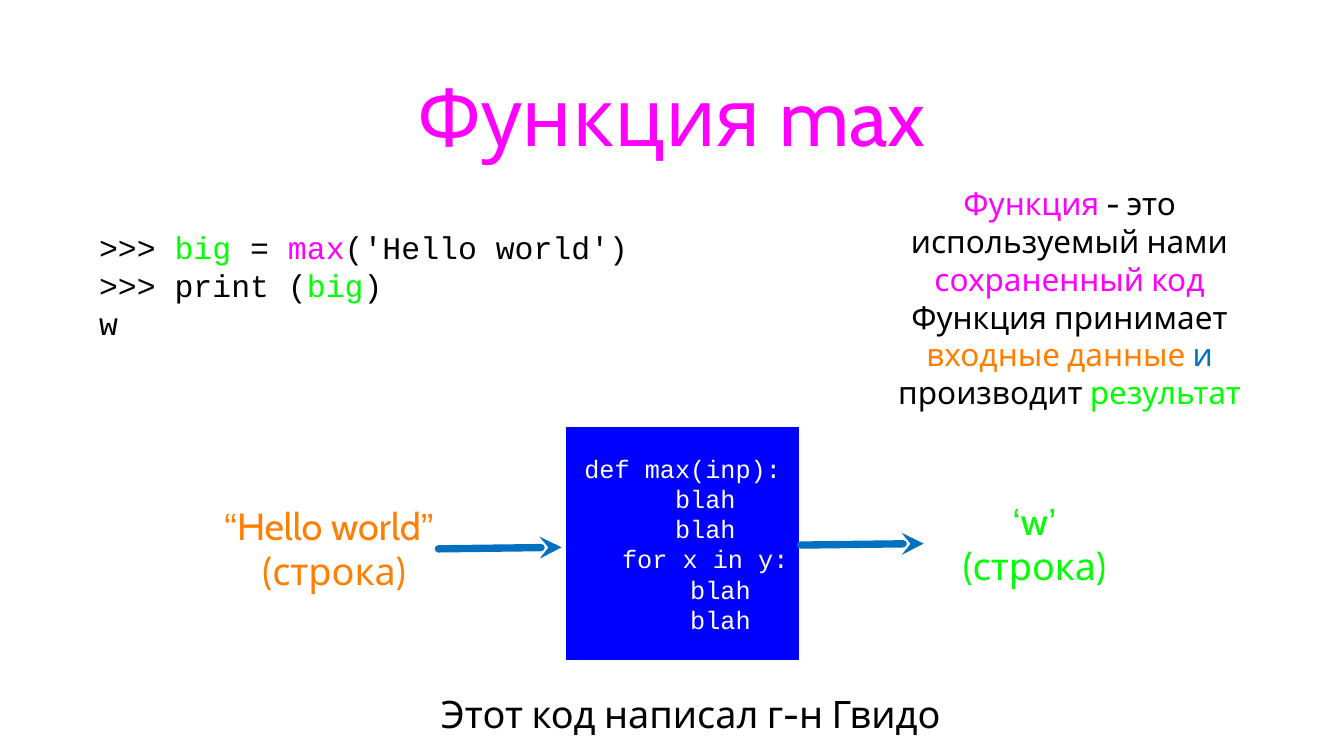
from lxml import etree
from pptx import Presentation
from pptx.dml.color import RGBColor
from pptx.enum.shapes import MSO_CONNECTOR, MSO_SHAPE
from pptx.enum.text import MSO_ANCHOR, MSO_AUTO_SIZE, PP_ALIGN
from pptx.oxml.ns import qn
from pptx.util import Inches, Pt

LINE = MSO_CONNECTOR.STRAIGHT
RECT = MSO_SHAPE.RECTANGLE
MIDDLE = MSO_ANCHOR.MIDDLE
FIXED = MSO_AUTO_SIZE.NONE
LEFT, CENTER = PP_ALIGN.LEFT, PP_ALIGN.CENTER
WIDE, HIGH = Inches(17.78), Inches(10)
SANS, ARIAL, MONO = "Cabin", "Arial", "Courier New"
BLACK, WHITE, PINK, GREEN = "000000", "FFFFFF", "FF00FF", "00FF00"
ORANGE, BLUE, NAVY = "FF7F00", "0070C0", "0000FF"


def paint(target, color):
    target.rgb = RGBColor.from_string(color)


def place(x, y):
    return round(WIDE * x / 100), round(HIGH * y / 100)


def area(x, y, w, h):
    return place(x, y) + place(w, h)


def write(shape, lines, size=36, font=SANS, color=BLACK, align=CENTER,
          inset=0, steps=()):
    frame = shape.text_frame
    frame.auto_size = FIXED
    frame.word_wrap = True
    frame.vertical_anchor = MIDDLE
    frame.margin_left = frame.margin_right = Inches(inset)
    frame.margin_top = frame.margin_bottom = Inches(inset)
    for i, line in enumerate(lines):
        para = frame.add_paragraph() if i else frame.paragraphs[0]
        para.alignment = align
        para.line_spacing = Pt(size * 1.2)
        para.space_before = para.space_after = Pt(0)
        if steps:
            para._p.get_or_add_pPr().set("marL", str(Inches(0.2 * steps[i])))
        for part in [line] if isinstance(line, str) else line:
            words, tint, face = part if isinstance(part, tuple) else (part, color, font)
            run = para.add_run()
            run.text = words
            run.font.size = Pt(size)
            run.font.name = face
            paint(run.font.color, tint)


def label(slide, box, lines, **style):
    write(slide.shapes.add_textbox(*area(*box)), lines, **style)


def block(slide, box, lines, fill, **style):
    shape = slide.shapes.add_shape(RECT, *area(*box))
    shape.shadow.inherit = False
    shape.fill.solid()
    paint(shape.fill.fore_color, fill)
    shape.line.fill.background()
    write(shape, lines, **style)


def arrow(slide, start, end):
    link = slide.shapes.add_connector(LINE, *place(*start), *place(*end))
    link.line.width = Pt(7)
    paint(link.line.color, BLUE)
    stroke = link.line._get_or_add_ln()
    stroke.set("cap", "rnd")
    etree.SubElement(stroke, qn("a:round"))
    etree.SubElement(stroke, qn("a:tailEnd"), type="stealth")
    etree.SubElement(link._element.spPr, qn("a:effectLst"))


def quote(slide, box, word, marks, color):
    first, last = marks
    lines = [[(first, color, ARIAL), word, (last, color, ARIAL)], "(строка)"]
    label(slide, box, lines, color=color)


def main():
    deck = Presentation()
    deck.slide_width, deck.slide_height = WIDE, HIGH
    slide = deck.slides.add_slide(deck.slide_layouts[5])

    title = slide.shapes.title
    title.left, title.top, title.width, title.height = area(7.09, 2.6, 85.71, 25.1)
    write(title, ["Функция max"], size=76, color=PINK, inset=0.04)

    big = ("big", GREEN, MONO)
    code = [[">>> ", big, " = ", ("max", PINK, MONO), "('Hello world')"],
            [">>> print (", big, ")"], "w"]
    label(slide, (7.37, 28.6, 43.87, 18.2), code, size=30, font=MONO, align=LEFT)

    body = ["def max(inp):", "blah", "blah", "for x in y:", "blah", "blah"]
    block(slide, (42.13, 56.5, 17.32, 30.8), body, NAVY, size=24, font=MONO,
          color=WHITE, steps=(0, 3, 3, 3, 5, 5))

    arrow(slide, (32.62, 72.6), (41.79, 72.4))
    arrow(slide, (59.56, 72.1), (68.73, 71.9))
    quote(slide, (16.09, 66.2, 17.55, 12.5), "Hello world", ("“", "” "), ORANGE)
    quote(slide, (68.84, 65.6, 16.25, 12.5), "w", ("‘", "’"), GREEN)

    note = [("Функция ", PINK, SANS), "- это используемый нами ",
            ("сохраненный код ", PINK, SANS), "Функция принимает ",
            ("входные данные ", ORANGE, SANS), ("и ", BLUE, SANS),
            "производит ", ("результат", GREEN, SANS)]
    label(slide, (64.4, 27.4, 30.37, 23.9), [note], size=30)
    label(slide, (29.47, 91, 43.87, 6.8), ["Этот код написал г-н Гвидо"])
    deck.save("out.pptx")


main()
